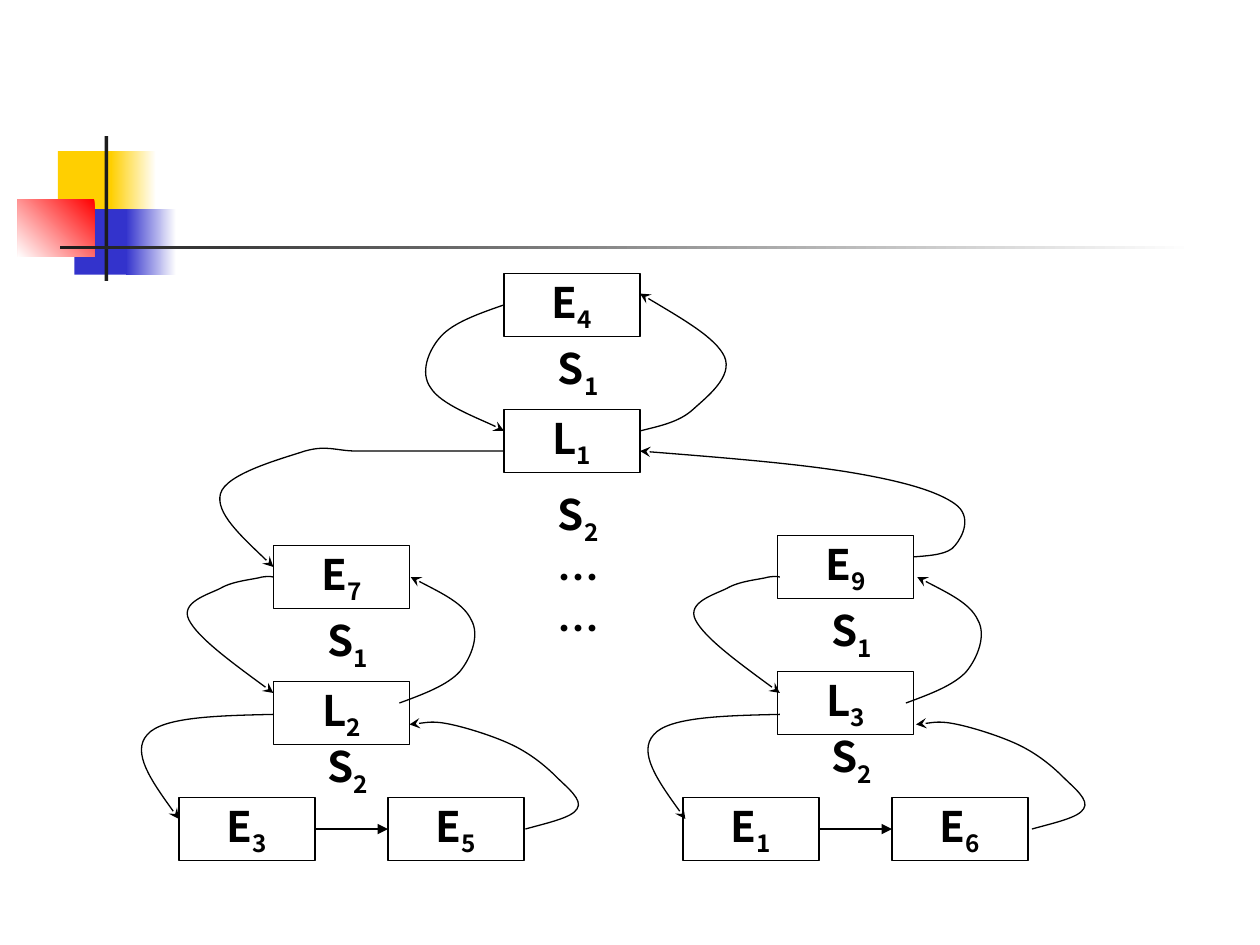
from lxml import etree
from pptx import Presentation
from pptx.dml.color import RGBColor
from pptx.enum.shapes import MSO_CONNECTOR, MSO_SHAPE
from pptx.enum.text import MSO_ANCHOR, MSO_AUTO_SIZE, PP_ALIGN
from pptx.oxml.ns import qn
from pptx.util import Inches, Pt

RECT = MSO_SHAPE.RECTANGLE
STRAIGHT = MSO_CONNECTOR.STRAIGHT
MIDDLE, TOP = MSO_ANCHOR.MIDDLE, MSO_ANCHOR.TOP
CENTER, LEFT = PP_ALIGN.CENTER, PP_ALIGN.LEFT
GROW = MSO_AUTO_SIZE.SHAPE_TO_FIT_TEXT

COLORS = {"ink": "000000", "white": "FFFFFF", "yellow": "FFCF01",
          "blue": "3333CC", "red": "FF0000", "rule": "1C1C1C"}
FONT = {"name": "Noto Sans CJK SC", "size": Pt(24), "bold": True}
BOX_W, BOX_H = 1.08, 0.5
LEAF_Y = 6.33
SUBTREE_SHIFT = 4.02

# Left, top, width, height, colours (two make a gradient), gradient angle
DECORATION = [
    (0.46, 1.2, 0.48, 0.52, ["yellow"], 0),
    (0.88, 1.2, 0.36, 0.52, ["white", "yellow"], 180),
    (0.59, 1.66, 0.46, 0.52, ["blue"], 0),
    (1, 1.66, 0.4, 0.52, ["white", "blue"], 180),
    (0.14, 1.58, 0.61, 0.46, ["red", "white"], 225),
    (0.83, 1.08, 0.03, 1.15, ["rule"], 0),
    (0.48, 1.95, 9, 0.03, ["white", "rule"], 180),
]

# Each curve: start point, then three points per Bezier segment
ROOT_CURVES = [
    [(4, 2.42), (3.8, 2.49), (3.6, 2.56), (3.5, 2.67),
     (3.4, 2.78), (3.33, 2.96), (3.42, 3.08),
     (3.5, 3.21), (3.9, 3.36), (4, 3.42)],
    [(5.08, 3.42), (5.24, 3.38), (5.39, 3.35), (5.5, 3.25),
     (5.61, 3.15), (5.82, 2.99), (5.75, 2.83),
     (5.68, 2.68), (5.38, 2.51), (5.08, 2.33)],
    [(4, 3.58), (3.81, 3.58), (3.61, 3.58), (3.42, 3.58),
     (3.22, 3.58), (3, 3.58), (2.83, 3.58),
     (2.67, 3.58), (2.6, 3.53), (2.42, 3.58),
     (2.24, 3.64), (1.79, 3.76), (1.75, 3.92),
     (1.71, 4.07), (1.94, 4.28), (2.17, 4.5)],
    [(7.25, 4.42), (7.39, 4.41), (7.53, 4.4), (7.58, 4.33),
     (7.64, 4.26), (7.72, 4.1), (7.58, 4),
     (7.44, 3.9), (7.17, 3.82), (6.75, 3.75),
     (6.33, 3.68), (5.71, 3.63), (5.08, 3.58)],
]
SUBTREE_CURVES = [
    [(2.17, 4.58), (2.16, 4.58), (2.15, 4.57), (2.08, 4.58),
     (2.01, 4.6), (1.85, 4.61), (1.75, 4.67),
     (1.65, 4.72), (1.43, 4.78), (1.5, 4.92),
     (1.57, 5.06), (1.87, 5.28), (2.17, 5.5)],
    [(3.17, 5.58), (3.36, 5.51), (3.55, 5.44), (3.65, 5.33),
     (3.74, 5.22), (3.81, 5.04), (3.74, 4.92),
     (3.68, 4.79), (3.47, 4.69), (3.26, 4.58)],
    [(2.17, 5.67), (1.73, 5.68), (1.29, 5.69), (1.17, 5.83),
     (1.04, 5.97), (1.23, 6.24), (1.42, 6.5)],
    [(4.17, 6.58), (4.35, 6.53), (4.54, 6.49), (4.58, 6.42),
     (4.63, 6.35), (4.5, 6.25), (4.42, 6.17),
     (4.33, 6.08), (4.22, 5.99), (4.08, 5.92),
     (3.94, 5.85), (3.72, 5.78), (3.58, 5.75),
     (3.44, 5.72), (3.35, 5.74), (3.25, 5.75)],
]


def rgb(name):
    return RGBColor.from_string(COLORS[name])


def set_line(sp, head=None):
    sp.line.color.rgb = rgb("ink")
    sp.line.width = Pt(0.75)
    if head:
        ln = sp._element.xpath(".//a:ln")[0]
        etree.SubElement(ln, qn("a:tailEnd"), type=head)


def add_decoration(s, x, y, w, h, colors, angle):
    sp = s.shapes.add_shape(RECT, *map(Inches, (x, y, w, h)))
    sp.shadow.inherit = False
    sp.line.fill.background()
    if len(colors) == 1:
        sp.fill.solid()
        sp.fill.fore_color.rgb = rgb(colors[0])
        return
    sp.fill.gradient()
    sp.fill.gradient_angle = angle
    for stop, position, color in zip(sp.fill.gradient_stops, (0, 1), colors):
        stop.position = position
        stop.color.rgb = rgb(color)


def write(sp, text, subscript, align, anchor, wrap):
    tf = sp.text_frame
    tf.word_wrap = wrap
    tf.vertical_anchor = anchor
    p = tf.paragraphs[0]
    p.alignment = align
    for part in filter(None, (text, subscript)):
        r = p.add_run()
        r.text = part
        for key, value in FONT.items():
            setattr(r.font, key, value)
        r.font.color.rgb = rgb("ink")
        props = r._r.get_or_add_rPr()
        etree.SubElement(props, qn("a:ea"), typeface=FONT["name"])
        if part == subscript:
            props.set("baseline", "-25000")


def add_box(s, x, y, name):
    sp = s.shapes.add_shape(RECT, *map(Inches, (x, y, BOX_W, BOX_H)))
    sp.shadow.inherit = False
    sp.fill.background()
    set_line(sp)
    write(sp, name[0], name[1], CENTER, MIDDLE, False)
    return sp


def add_label(s, x, y, text, subscript="", h=0.56):
    sp = s.shapes.add_textbox(*map(Inches, (x, y, 0.75, h)))
    write(sp, text, subscript, LEFT, TOP, True)
    sp.text_frame.auto_size = GROW


def add_pair(s, x, y, upper, lower, second_gap):
    """An E box above an L box, with the S1 and S2 labels below them."""
    add_box(s, x, y, upper)
    add_box(s, x, y + 1.08, lower)
    add_label(s, x + 0.33, y + 0.5, "S", "1")
    add_label(s, x + 0.33, y + second_gap, "S", "2")


def add_leaves(s, x, first, second):
    """Two boxes in the bottom row, joined by an arrow."""
    a = add_box(s, x, LEAF_Y, first)
    b = add_box(s, x + 1.66, LEAF_Y, second)
    arrow = s.shapes.add_connector(STRAIGHT, 0, 0, 0, 0)
    arrow.begin_connect(a, 3)
    arrow.end_connect(b, 1)
    set_line(arrow, "triangle")
    etree.SubElement(arrow._element.spPr, qn("a:effectLst"))


def add_curve(s, points, dx=0):
    start, *rest = [(Inches(x + dx), Inches(y)) for x, y in points]
    builder = s.shapes.build_freeform(*start)
    builder.add_line_segments(rest, close=False)
    sp = builder.convert_to_shape()
    # Merge every three line segments into one Bezier segment
    segments = sp._element.xpath(".//a:lnTo")
    for i in range(0, len(segments), 3):
        curve, *others = segments[i:i + 3]
        curve.tag = qn("a:cubicBezTo")
        for segment in others:
            curve.append(segment[0])
            segment.getparent().remove(segment)
    sp.shadow.inherit = False
    sp.fill.background()
    set_line(sp, "stealth")


def main():
    prs = Presentation()
    prs.slide_width, prs.slide_height = Inches(10), Inches(7.5)
    s = prs.slides.add_slide(prs.slide_layouts[6])

    # Corner decoration and rule
    for item in DECORATION:
        add_decoration(s, *item)

    # Root
    add_pair(s, 4, 2.17, "E4", "L1", 1.66)
    add_label(s, 4.33, 4.33, "……", h=0.5)
    for points in ROOT_CURVES:
        add_curve(s, points)

    # Left and right subtrees
    add_pair(s, 2.17, 4.33, "E7", "L2", 1.5)
    add_leaves(s, 1.42, "E3", "E5")
    add_pair(s, 6.17, 4.25, "E9", "L3", 1.5)
    add_leaves(s, 5.42, "E1", "E6")
    for dx in (0, SUBTREE_SHIFT):
        for points in SUBTREE_CURVES:
            add_curve(s, points, dx)

    prs.save("out.pptx")


if __name__ == "__main__":
    main()
